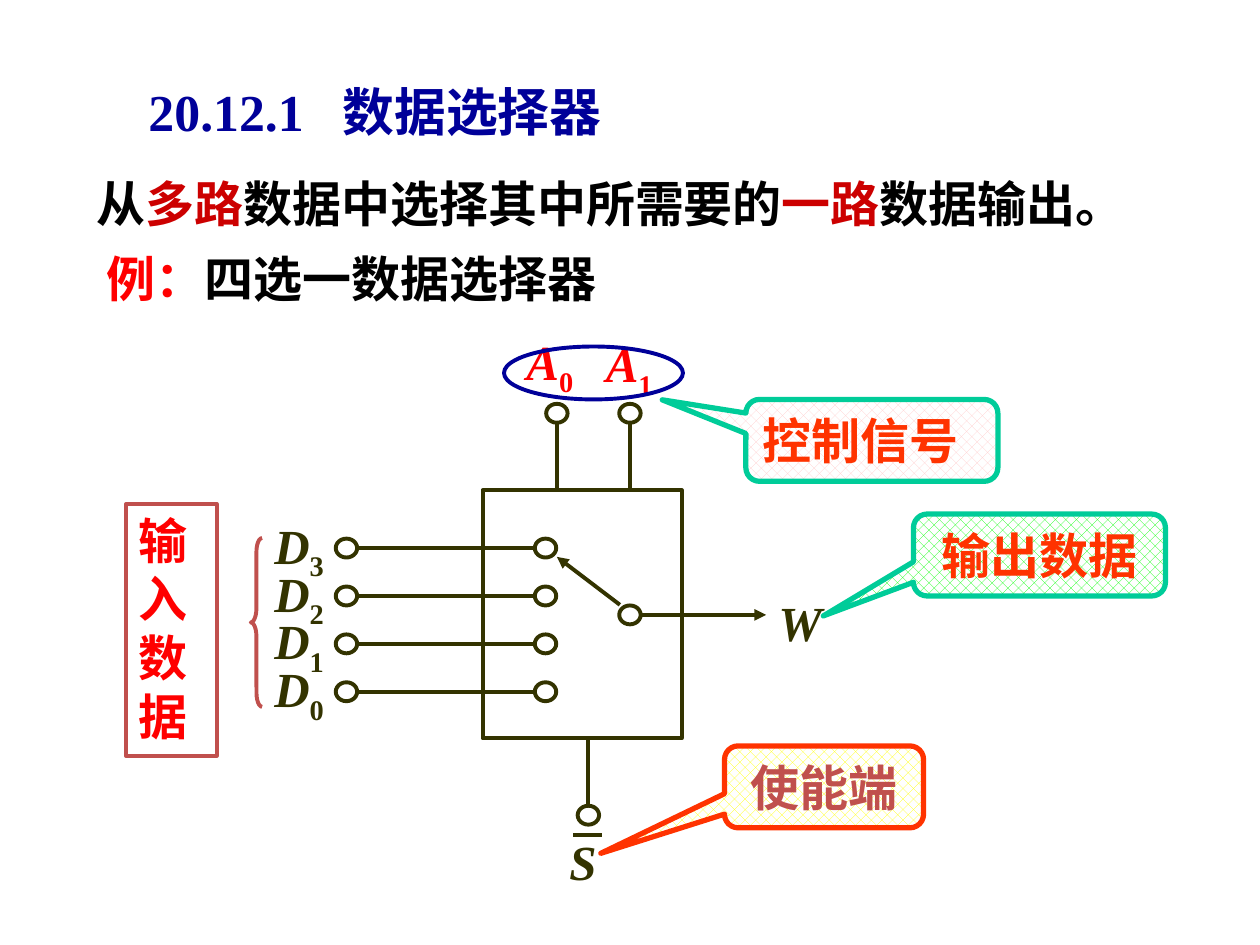
from typing import NamedTuple

import lxml.etree
import pptx
import pptx.dml.color
import pptx.enum.dml
import pptx.enum.shapes
import pptx.enum.text
import pptx.oxml.ns
import pptx.util

Inches = pptx.util.Inches
Pt = pptx.util.Pt
SHAPES = pptx.enum.shapes.MSO_SHAPE
ALIGN = pptx.enum.text.PP_ALIGN

COLORS = {
    "navy": "000099", "black": "000000", "crimson": "CC0000", "red": "FF0000",
    "brick": "C0504D", "olive": "333300", "orange": "FF3300", "teal": "00CC99",
    "green": "00FF00", "yellow": "FFFF00", "pink": "FFCCCC", "white": "FFFFFF",
}
FONT = "Times New Roman"
RING_W, RING_H = 0.17, 0.15


class Piece(NamedTuple):
    text: str
    color: str
    italic: bool = False
    subscript: bool = False


class Callout(NamedTuple):
    text: str
    box: tuple
    pointer: tuple
    hatch: str
    border: str
    color: str
    align: ALIGN = ALIGN.CENTER


def rgb(name: str) -> pptx.dml.color.RGBColor:
    return pptx.dml.color.RGBColor.from_string(COLORS[name])


def write(frame, pieces: list[Piece], size: float = 28, wrap: bool = True,
          align=ALIGN.LEFT, tab: float = 0) -> None:
    frame.word_wrap = wrap
    paragraph = frame.paragraphs[0]
    paragraph.alignment = align
    if tab:
        stops = lxml.etree.SubElement(paragraph._p.get_or_add_pPr(), pptx.oxml.ns.qn("a:tabLst"))
        lxml.etree.SubElement(stops, pptx.oxml.ns.qn("a:tab"), pos=str(Inches(tab)), algn="l")
    paragraph.font.name = FONT
    paragraph.font.size = Pt(size)
    paragraph.font.bold = True
    if len(pieces) == 1:
        paragraph.font.color.rgb = rgb(pieces[0].color)
        paragraph.font.italic = pieces[0].italic
    for piece in pieces:
        run = paragraph.add_run()
        run.text = piece.text
        if len(pieces) > 1:
            run.font.color.rgb = rgb(piece.color)
            run.font.italic = piece.italic
        if piece.subscript:
            run._r.get_or_add_rPr().set("baseline", "-25000")


def add_text(slide, box: tuple, pieces: list[Piece], **style) -> None:
    write(slide.shapes.add_textbox(*map(Inches, box)).text_frame, pieces, **style)


def add_symbol(slide, left: float, top: float, letter: str, index: str = "",
               color: str = "olive") -> None:
    pieces = [Piece(letter, color, italic=True)]
    if index:
        pieces.append(Piece(index, color, subscript=True))
    add_text(slide, (left, top, 0.6, 0.57), pieces, wrap=False)


def add_outline(slide, preset, box: tuple, color: str = "olive", width: float = 2.25):
    shape = slide.shapes.add_shape(preset, *map(Inches, box))
    shape.shadow.inherit = False
    shape.fill.background()
    shape.line.color.rgb = rgb(color)
    shape.line.width = Pt(width)
    return shape


def add_ring(slide, center_x: float, center_y: float) -> None:
    add_outline(slide, SHAPES.OVAL,
                (center_x - RING_W / 2, center_y - RING_H / 2, RING_W, RING_H))


def add_wire(slide, start: tuple, end: tuple, arrow: bool = False) -> None:
    wire = slide.shapes.add_connector(
        pptx.enum.shapes.MSO_CONNECTOR.STRAIGHT, *map(Inches, start + end))
    wire.line.color.rgb = rgb("olive")
    wire.line.width = Pt(2.25)
    if arrow:
        lxml.etree.SubElement(wire.line._get_or_add_ln(), pptx.oxml.ns.qn("a:tailEnd"),
                              type="triangle")
    lxml.etree.SubElement(wire._element.spPr, pptx.oxml.ns.qn("a:effectLst"))


def add_callout(slide, callout: Callout) -> None:
    shape = add_outline(slide, SHAPES.ROUNDED_RECTANGULAR_CALLOUT, callout.box,
                        callout.border, 3)
    for position, value in enumerate(callout.pointer + (0.167,)):
        shape.adjustments[position] = value
    shape.fill.patterned()
    shape.fill.pattern = pptx.enum.dml.MSO_PATTERN.from_xml("pct40")
    shape.fill.fore_color.rgb = rgb(callout.hatch)
    shape.fill.back_color.rgb = rgb("white")
    shape.text_frame.vertical_anchor = pptx.enum.text.MSO_ANCHOR.MIDDLE
    write(shape.text_frame, [Piece(callout.text, callout.color)], align=callout.align)


def main() -> None:
    deck = pptx.Presentation()
    deck.slide_width, deck.slide_height = Inches(10), Inches(7.5)
    slide = deck.slides.add_slide(deck.slide_layouts[6])

    # Heading and introduction
    add_text(slide, (1.08, 0.58, 4.08, 0.5), [Piece("20.12.1\t数据选择器", "navy")],
             size=29.6, tab=1.54)
    add_text(slide, (0.67, 1.33, 8.25, 0.57), [
        Piece("从", "black"), Piece("多路", "crimson"),
        Piece("数据中选择其中所需要的", "black"), Piece("一路", "crimson"),
        Piece("数据输出。", "black")])
    add_text(slide, (0.75, 1.92, 4.11, 0.57),
             [Piece("例：", "red"), Piece("四选一数据选择器", "black")], wrap=False)

    # Input group
    brace = add_outline(slide, SHAPES.LEFT_BRACE, (1.99, 4.27, 0.09, 1.34), "brick")
    brace.adjustments[0] = 1.236
    inputs = add_outline(slide, SHAPES.RECTANGLE, (1, 4, 0.72, 2), "brick")
    inputs.text_frame.vertical_anchor = pptx.enum.text.MSO_ANCHOR.TOP
    write(inputs.text_frame, [Piece("输入数据", "red")])

    # Selector body with its four data inputs
    add_outline(slide, SHAPES.RECTANGLE, (3.83, 3.89, 1.58, 1.97))
    for row, index in enumerate("3210"):
        y = 4.35 + 0.38 * row
        add_symbol(slide, 2.08, y - 0.31, "D", index)
        add_wire(slide, (2.83, y), (4.25, y))
        add_ring(slide, 2.75, y)
        add_ring(slide, 4.33, y)

    # Control inputs
    for index, x, left, top in (("0", 4.42, 4.08, 2.58), ("1", 5, 4.71, 2.6)):
        add_wire(slide, (x, 3.36), (x, 3.89))
        add_ring(slide, x, 3.28)
        add_symbol(slide, left, top, "A", index, "red")
    add_outline(slide, SHAPES.OVAL, (4, 2.75, 1.42, 0.42), "navy")

    # Switch arm and output
    add_ring(slide, 5, 4.88)
    add_wire(slide, (4.92, 4.8), (4.42, 4.42), arrow=True)
    add_wire(slide, (5.08, 4.88), (6.08, 4.88), arrow=True)
    add_symbol(slide, 6.08, 4.65, "W")

    # Enable input, active low
    add_wire(slide, (4.67, 5.86), (4.67, 6.4))
    add_ring(slide, 4.67, 6.47)
    add_wire(slide, (4.55, 6.63), (4.78, 6.63))
    add_symbol(slide, 4.42, 6.55, "S")

    # Callouts
    for callout in (
        Callout("输出数据", (7.25, 4.08, 2, 0.65), (-0.858, 0.744), "green", "teal", "orange"),
        Callout("使能端", (5.75, 5.92, 1.58, 0.65), (-1.121, 0.811), "yellow", "orange", "brick"),
        Callout("控制信号", (5.92, 3.17, 2, 0.65), (-0.832, -0.495), "pink", "teal", "orange",
                ALIGN.LEFT),
    ):
        add_callout(slide, callout)

    deck.save("out.pptx")


if __name__ == "__main__":
    main()
